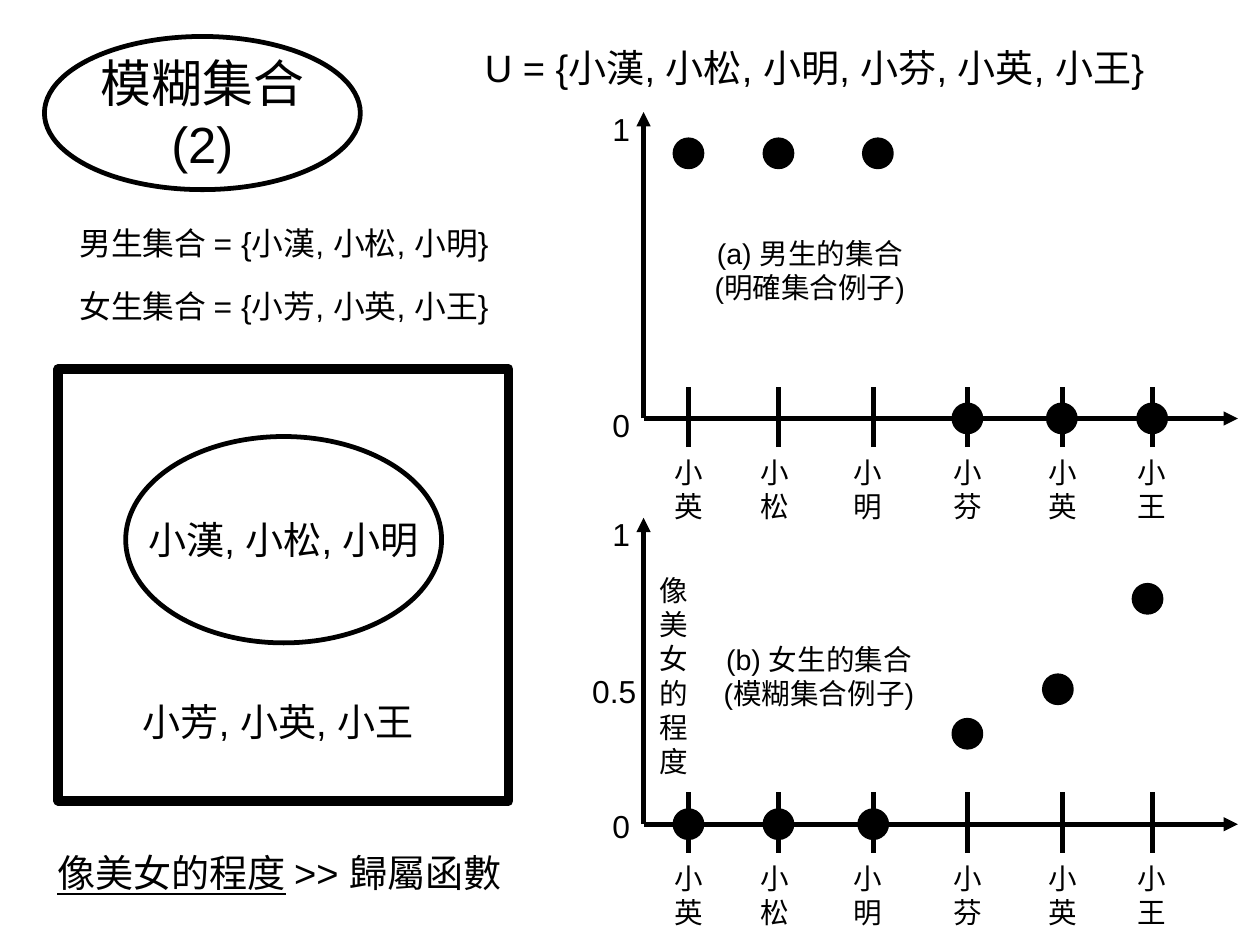
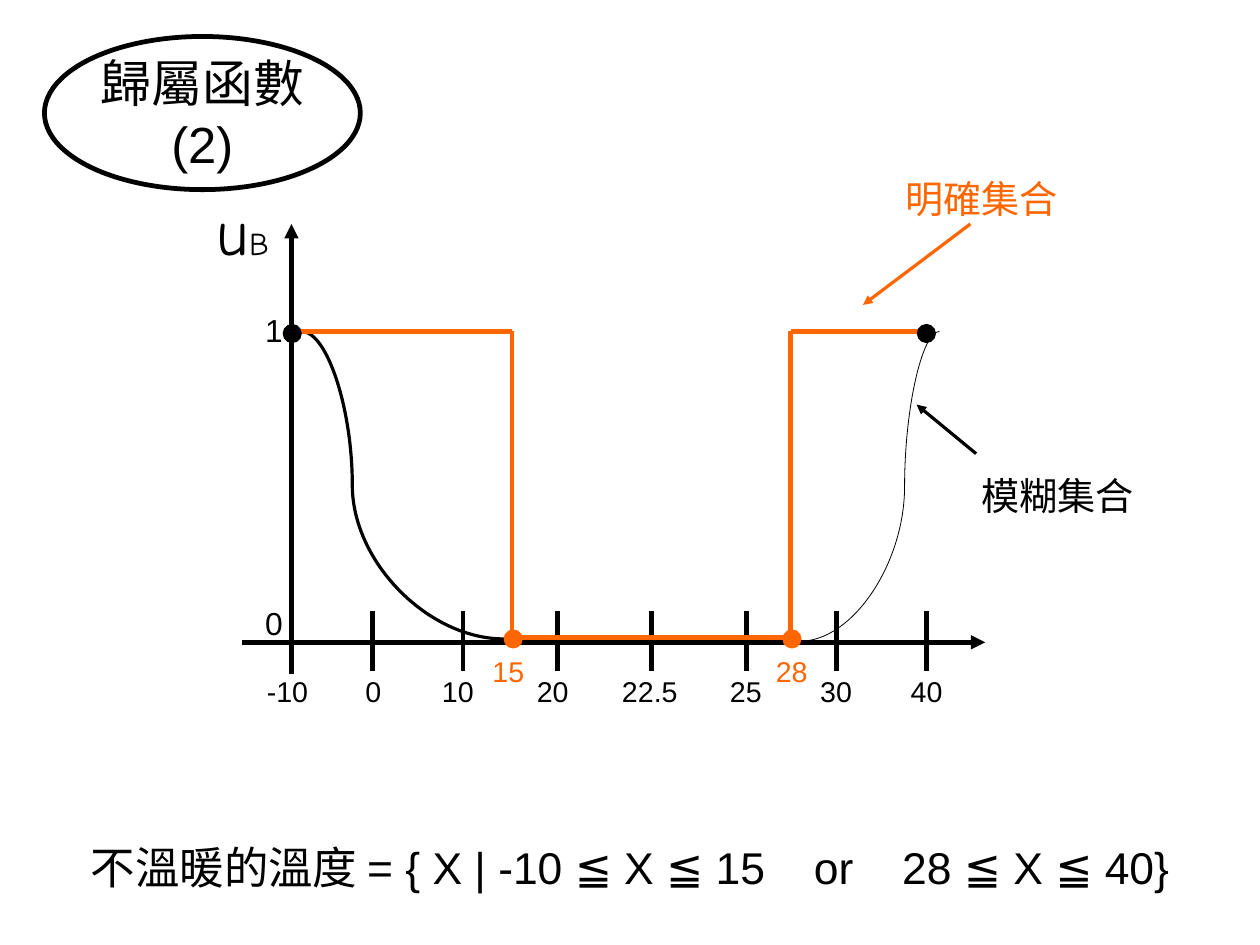
from lxml.etree import SubElement as Sub
from pptx import Presentation
from pptx.dml.color import RGBColor as Rgb
from pptx.enum.shapes import MSO_CONNECTOR as Link, MSO_SHAPE as Form
from pptx.enum.text import MSO_ANCHOR as Anchor, MSO_AUTO_SIZE as Auto, PP_ALIGN as Align
from pptx.oxml.ns import qn
from pptx.util import Pt

HUES = {"ink": "000000", "crisp": "FF6600"}
FONT = "Arial"
WIDE, HIGH = 793.7, 595.28
TITLE = (28, 23, 199, 96.5)
STROKE = 3
TICK = (-20, 18)


def hue(name):
    return Rgb.from_string(HUES[name])


def write(shape, lines, size, color="ink", align=Align.CENTER, anchor=Anchor.MIDDLE, wrap=True):
    frame = shape.text_frame
    frame.auto_size = Auto.NONE
    frame.word_wrap = wrap
    frame.vertical_anchor = anchor
    for n, line in enumerate(lines):
        para = frame.add_paragraph() if n else frame.paragraphs[0]
        para.alignment = align
        for part in [line] if isinstance(line, str) else line:
            words, look = (part, {}) if isinstance(part, str) else part
            run = para.add_run()
            run.text = words
            font = run.font
            font.name = look.get("font", FONT)
            font.size = Pt(look.get("size", size))
            font.color.rgb = hue(color)
            if "under" in look:
                font.underline = look["under"]
            if "gap" in look:
                font._element.set("spc", str(look["gap"] * 100))


def label(slide, box, lines, size, **style):
    shape = slide.shapes.add_textbox(*map(Pt, box))
    write(shape, lines, size, **style)


def outline(slide, form, box, width=STROKE, color="ink", solid=False):
    shape = slide.shapes.add_shape(form, *map(Pt, box))
    shape.shadow.inherit = False
    if solid:
        shape.fill.solid()
        shape.fill.fore_color.rgb = hue(color)
    else:
        shape.fill.background()
    shape.line.color.rgb = hue(color)
    shape.line.width = Pt(width)
    return shape


def dot(slide, x, y, size, width, color="ink"):
    box = (x - size / 2, y - size / 2, size, size)
    outline(slide, Form.OVAL, box, width, color, True)


def stroke(slide, x1, y1, x2, y2, width=STROKE, color="ink", arrow=False, bend=None):
    kind = Link.STRAIGHT if bend is None else Link.CURVE
    line = slide.shapes.add_connector(kind, *map(Pt, (x1, y1, x2, y2)))
    line.line.color.rgb = hue(color)
    line.line.width = Pt(width)
    props = line._element.spPr
    if arrow:
        Sub(props.find(qn("a:ln")), qn("a:tailEnd"), type="triangle")
    if bend is not None:
        geom = props.find(qn("a:prstGeom"))
        guides = geom.find(qn("a:avLst"))
        if guides is None:
            guides = Sub(geom, qn("a:avLst"))
        Sub(guides, qn("a:gd"), name="adj1", fmla=f"val {round(bend * 100000)}")
    Sub(props, qn("a:effectLst"))


def axes(slide, box, ticks, left=0, below=0):
    x, y, w, h = box
    base = y + h
    stroke(slide, x - left, base, x + w, base, arrow=True)
    stroke(slide, x, base + below, x, y, arrow=True)
    for tick in ticks:
        stroke(slide, x + tick, base + TICK[1], x + tick, base + TICK[0])


def scale(slide, box, marks):
    x, y, w, h = box
    for words, mid, top in marks:
        label(slide, (x + mid - 24, y + top, 48, 30), [words], 20, anchor=Anchor.TOP)


def start(deck, lines):
    slide = deck.slides.add_slide(deck.slide_layouts[5])
    outline(slide, Form.OVAL, TITLE)
    title = slide.shapes.title
    title.left, title.top, title.width, title.height = map(Pt, TITLE)
    write(title, lines, 32, wrap=False)
    return slide


def venn(slide, box):
    x, y, w, h = box
    outline(slide, Form.RECTANGLE, box, 6)
    label(slide, (x - 11.5, y + 187, 300, 70), ["小芳, 小英, 小王"], 24)
    oval = outline(slide, Form.OVAL, (x + 42.5, y + 42.5, 199, 130))
    write(oval, ["小漢, 小松, 小明"], 24, wrap=False)


def graph(slide, box, marks, note, inset, dots):
    x, y, w, h = box
    axes(slide, box, (28.3, 85, 144.7, 204, 263.8, 320.4))
    names = zip("英松明芬英王", (28.3, 82.4, 141.5, 204, 263.8, 320))
    for name, mid in names:
        label(slide, (x + mid - 22.5, y + h + 15, 45, 59), ["小", name], 18)
    scale(slide, box, marks)
    label(slide, (x + inset, y + 77, 136, 45), note, 18, wrap=False)
    for mid, down in dots:
        dot(slide, x + mid, y + down, 17, STROKE)


def fuzzy(deck):
    slide = start(deck, ["模糊集合", "(2)"])
    venn(slide, (36.7, 232.5, 283.7, 272))
    sets = ("男生集合 = {小漢, 小松, 小明}", "女生集合 = {小芳, 小英, 小王}")
    for n, words in enumerate(sets):
        label(slide, (14.4, 126 + n * 39.6, 329, 54), [words], 20)
    label(slide, (255, 10.8, 516, 63.4), ["U = {小漢, 小松, 小明, 小芬, 小英, 小王}"], 24)
    label(slide, (108, 527, 136, 45.4),
          [[("像美女的程度", {"under": True}), " >> 歸屬函數"]], 24, wrap=False)
    top = (405.4, 70.6, 374.4, 193)
    graph(slide, top, [("1", -14, -5), ("0", -14, 181.4)],
          ["(a) 男生的集合", "(明確集合例子)"], 36.7,
          [(28.3, 26), (85, 26), (147.6, 26), (204, 193), (263.5, 193), (320.4, 193)])
    low = (405.4, 326.2, 374.4, 193)
    graph(slide, low, [("1", -14, -5.5), ("0.5", -18.4, 93.6), ("0", -14, 178.5)],
          ["(b) 女生的集合", "(模糊集合例子)"], 42.5,
          [(28.3, 193), (85, 193), (144.7, 193), (204, 136), (261, 108), (317.5, 51)])
    label(slide, (low[0] + 2.9, low[1] + 31, 22.3, 163.4), ["像美女的程度"], 18,
          align=Align.LEFT, anchor=Anchor.TOP)


def curves(slide, box):
    x, y, w, h = box
    ticks = (0, 51, 108, 167.8, 226.8, 286.6, 343.4, 400)
    mids = (-2.5, 51.5, 104.8, 164.5, 225.7, 286.2, 343, 400)
    rise, fall, one, zero = 139, 314.6, 67.7, 260.7
    axes(slide, box, ticks, 31, 20)
    for words, mid in zip("-10 0 10 20 22.5 25 30 40".split(), mids):
        label(slide, (x + mid - 27, y + h + 6, 54, 49), [words], 18)
    scale(slide, box, [("1", -11, 51), ("0", -11, 235.5)])
    label(slide, (x - 135.4, y - 28, 209.5, 63.4),
          [[("u", {"font": "Comic Neue"}), ("B", {"font": "Comic Neue", "size": 20})]], 40)
    stroke(slide, x + 6.5, y + one, x + 134, y + 261.4, 0, bend=0.25)
    stroke(slide, x + 408.2, y + one, x + 320.4, y + 262.8, 0.5, bend=0.25)
    steps = [(3, one), (rise, one), (rise, zero), (fall, zero), (fall, one), (397, one)]
    for (x1, y1), (x2, y2) in zip(steps, steps[1:]):
        stroke(slide, x + x1, y + y1, x + x2, y + y2, color="crisp")
    for mid, down, color in ((0.5, 69, "ink"), (400, 69, "ink"),
                             (rise + 0.7, 261.4, "crisp"), (fall + 0.7, 261.4, "crisp")):
        dot(slide, x + mid, y + down, 11.5, 0.5, color)
    stroke(slide, x + 427.7, y, x + 360, y + 51, 0, "crisp", True)
    stroke(slide, x + 431.3, y + 144.7, x + 393.8, y + 113.8, 0, arrow=True)
    tags = (("明確集合", 379.5, -34, 24, "crisp"), ("模糊集合", 427.7, 152.7, 24, "ink"),
            ("15", 119.5, 267, 18, "crisp"), ("28", 298, 267, 18, "crisp"))
    for words, left, down, size, color in tags:
        label(slide, (x + left, y + down, 113, 42), [words], size, color=color,
              align=Align.LEFT, anchor=Anchor.TOP)


def member(deck):
    slide = start(deck, ["歸屬函數", "(2)"])
    curves(slide, (183.6, 141.1, 437, 263.5))
    space = (" ", {"gap": 23})
    label(slide, (0, 501, WIDE, 90),
          [["不溫暖的溫度 = { X | -10 ≦ X ≦ 15", space, "or", space, "28 ≦ X ≦ 40}"]], 28)


def main():
    deck = Presentation()
    deck.slide_width, deck.slide_height = Pt(WIDE), Pt(HIGH)
    fuzzy(deck)
    member(deck)
    deck.save("out.pptx")


if __name__ == "__main__":
    main()
